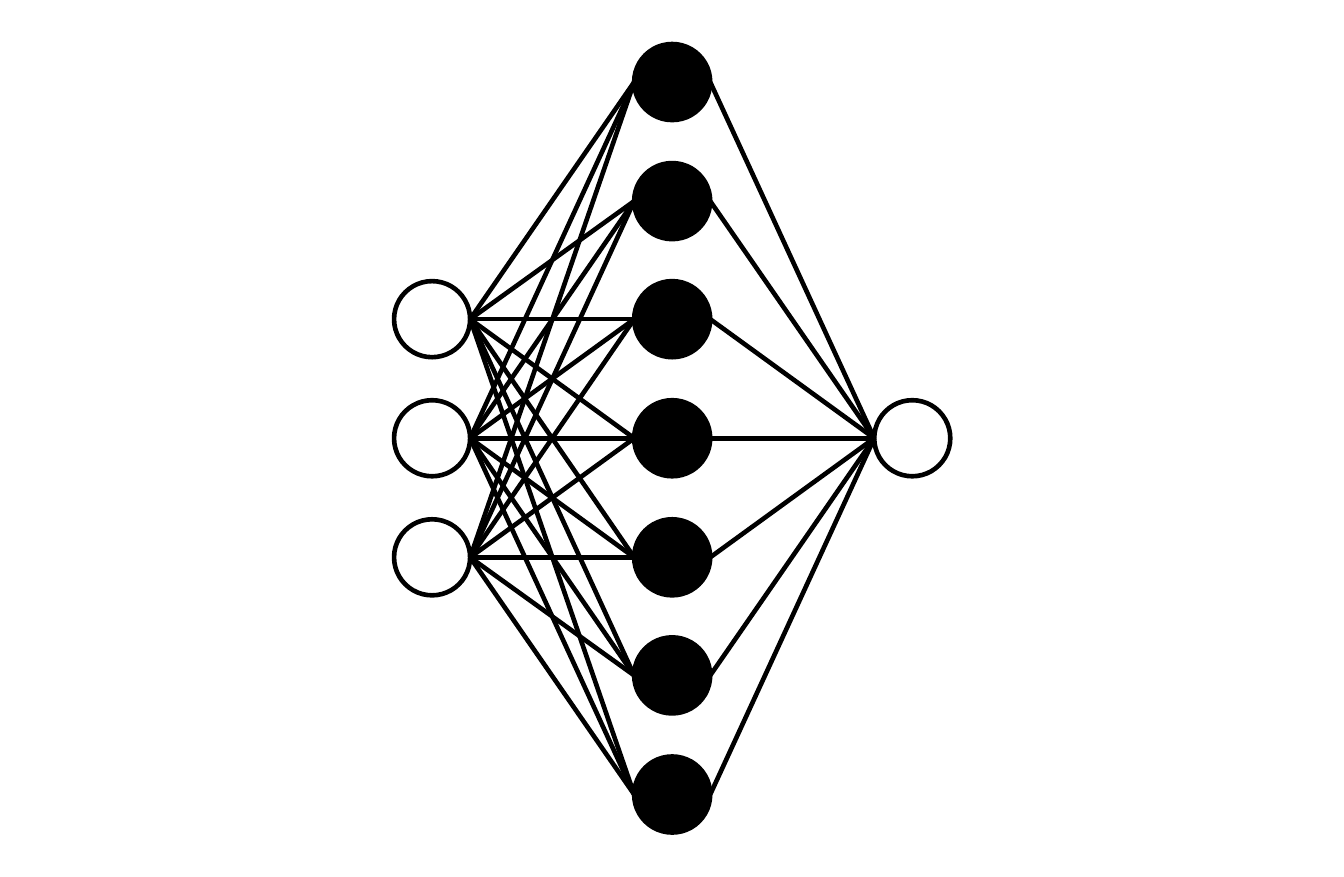
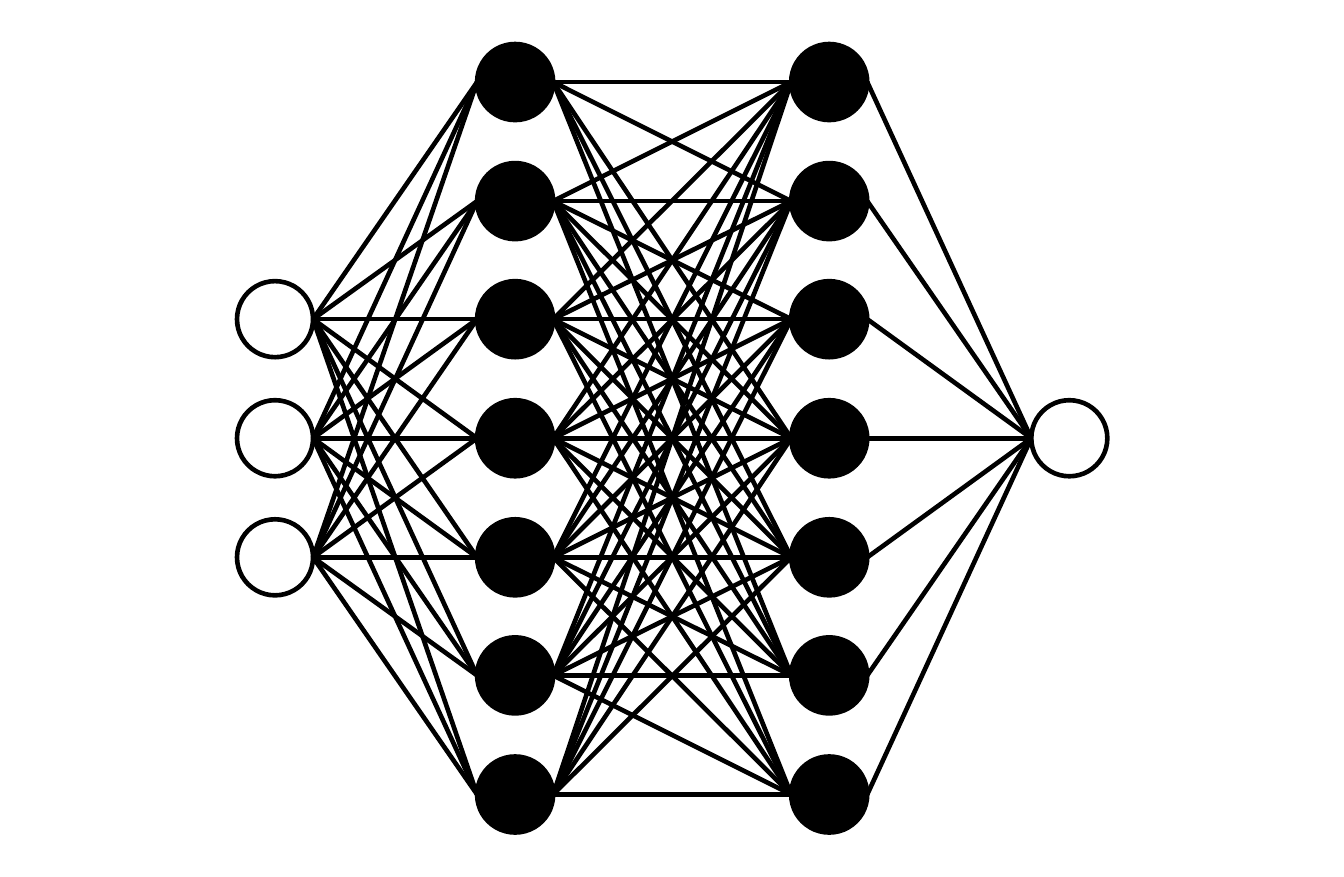
import dataclasses
import itertools

import lxml.etree
import pptx
import pptx.dml.color
import pptx.enum.shapes
import pptx.oxml.ns
import pptx.presentation
import pptx.shapes.shapetree
import pptx.util

EMU_PER_PIXEL = 6166
SLIDE_WIDTH = pptx.util.Inches(9.06)
SLIDE_HEIGHT = pptx.util.Inches(5.91)
MIDDLE_ROW = 438
ROWS_SPAN = 356
ROWS_IN_SPAN = 3
NODE_SIZE = 76
RADIUS = NODE_SIZE // 2
INK = "000000"
STROKE_POINTS = 2.25


@dataclasses.dataclass(frozen=True)
class Layer:
    center: int
    count: int
    filled: bool = False

    def rows(self) -> list[int]:
        first = -(self.count // 2)
        return [
            MIDDLE_ROW + round((first + index) * ROWS_SPAN / ROWS_IN_SPAN)
            for index in range(self.count)
        ]


@dataclasses.dataclass(frozen=True)
class Network:
    layers: tuple[Layer, ...]
    unlinked: frozenset[tuple[int, int, int]] = frozenset()


NETWORKS = (
    Network((Layer(432, 3), Layer(672, 7, filled=True), Layer(912, 1))),
    Network(
        (
            Layer(275, 3),
            Layer(515, 7, filled=True),
            Layer(829, 7, filled=True),
            Layer(1069, 1),
        ),
        unlinked=frozenset({(1, 0, 2), (1, 0, 6), (1, 6, 5)}),
    ),
)


def pixels(value: int) -> pptx.util.Emu:
    return pptx.util.Emu(value * EMU_PER_PIXEL)


def color(value: str) -> pptx.dml.color.RGBColor:
    return pptx.dml.color.RGBColor.from_string(value)


def set_stroke(line: pptx.dml.line.LineFormat) -> None:
    line.color.rgb = color(INK)
    line.width = pptx.util.Pt(STROKE_POINTS)


def draw_node(
    shapes: pptx.shapes.shapetree.GroupShapes, layer: Layer, row: int
) -> None:
    shape = shapes.add_shape(
        pptx.enum.shapes.MSO_SHAPE.OVAL,
        pixels(layer.center - RADIUS),
        pixels(row - RADIUS),
        pixels(NODE_SIZE),
        pixels(NODE_SIZE),
    )
    shape.shadow.inherit = False
    if layer.filled:
        shape.fill.solid()
        shape.fill.fore_color.rgb = color(INK)
    else:
        shape.fill.background()
    set_stroke(shape.line)


def draw_link(
    shapes: pptx.shapes.shapetree.GroupShapes,
    source: Layer,
    source_row: int,
    target: Layer,
    target_row: int,
) -> None:
    connector = shapes.add_connector(
        pptx.enum.shapes.MSO_CONNECTOR.STRAIGHT,
        pixels(source.center + RADIUS),
        pixels(source_row),
        pixels(target.center - RADIUS),
        pixels(target_row),
    )
    set_stroke(connector.line)
    lxml.etree.SubElement(
        connector._element.spPr, pptx.oxml.ns.qn("a:effectLst")
    )


def draw_network(
    presentation: pptx.presentation.Presentation, network: Network
) -> None:
    blank_layout = presentation.slide_layouts.get_by_name("Blank")
    slide = presentation.slides.add_slide(blank_layout)
    shapes = slide.shapes.add_group_shape().shapes
    for layer in network.layers:
        for row in layer.rows():
            draw_node(shapes, layer, row)
    for gap, (source, target) in enumerate(itertools.pairwise(network.layers)):
        links = itertools.product(
            enumerate(source.rows()), enumerate(target.rows())
        )
        for (start, source_row), (end, target_row) in links:
            if (gap, start, end) not in network.unlinked:
                draw_link(shapes, source, source_row, target, target_row)


def main() -> None:
    presentation = pptx.Presentation()
    presentation.slide_width = SLIDE_WIDTH
    presentation.slide_height = SLIDE_HEIGHT
    for network in NETWORKS:
        draw_network(presentation, network)
    presentation.save("out.pptx")


main()
